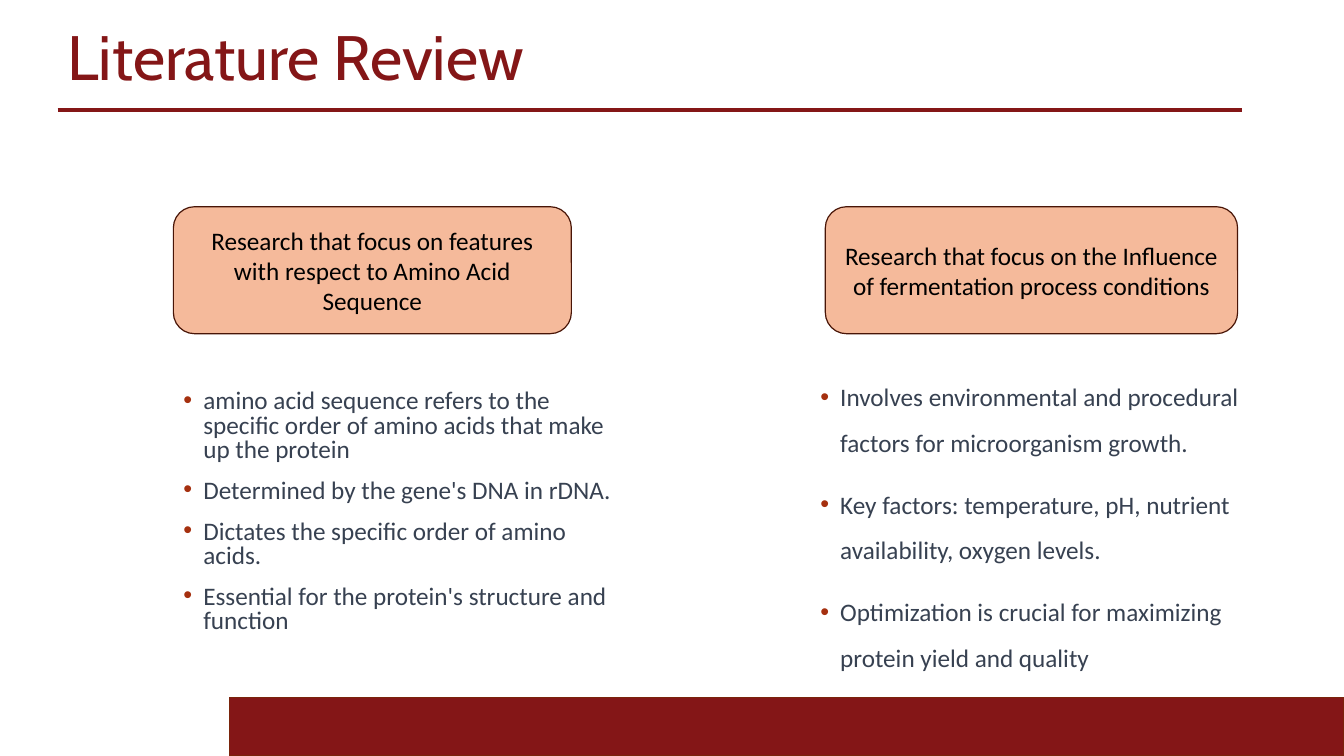
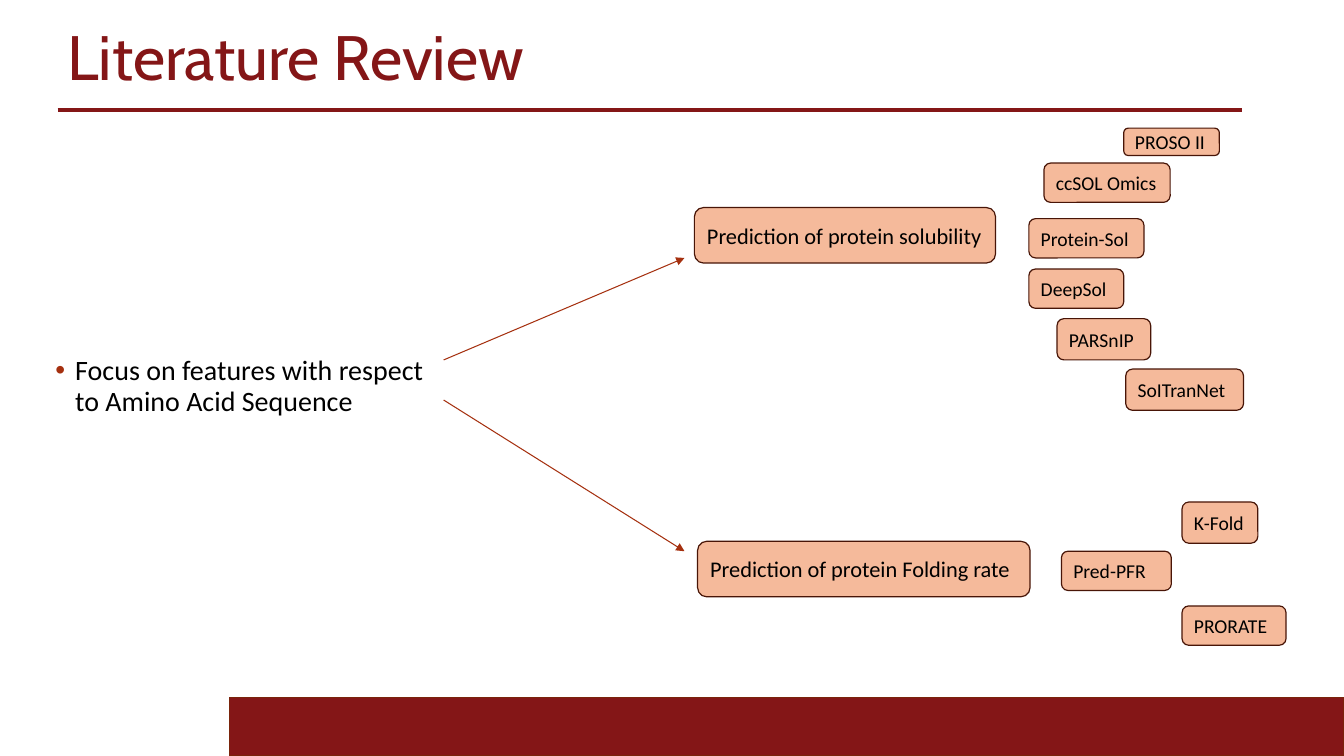
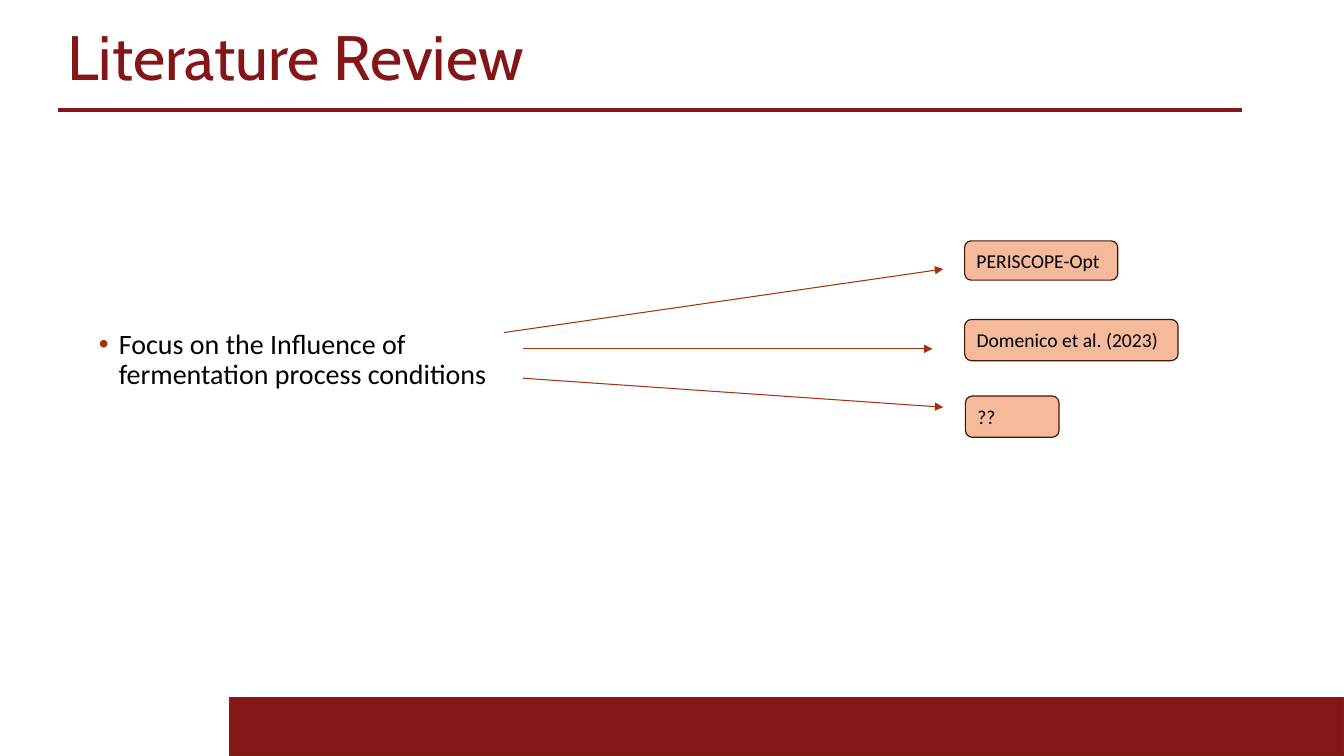
from lxml.etree import SubElement
from pptx import Presentation
from pptx.dml.color import RGBColor
from pptx.enum.shapes import MSO_CONNECTOR as Connector, MSO_SHAPE as Preset
from pptx.enum.text import MSO_ANCHOR as Anchor, MSO_AUTO_SIZE as AutoSize, PP_ALIGN as Align
from pptx.oxml.ns import qn
from pptx.util import Cm, Pt

COLOURS = {
    "crimson": "841617",
    "band_edge": "7A240B",
    "rust": "A5300F",
    "peach": "F5BA9B",
    "box_edge": "481507",
    "slate": "374151",
    "black": "000000",
}
TITLE_FONT, TEXT_FONT = "Cabin", "Calibri"
TITLE_AREA = (1.45, 0.74, 29.74, 1.8)
TITLE_AND_LIST, TITLE_AND_TWO_LISTS = 1, 3


def colour(name):
    return RGBColor.from_string(COLOURS[name])


def set_all(target, **values):
    for name, value in values.items():
        setattr(target, name, value)


def place(shape, area):
    left, top, width, height = map(Cm, area)
    set_all(shape, left=left, top=top, width=width, height=height)


def format_line(line, name, width):
    line.color.rgb = colour(name)
    line.width = Pt(width)


def write_para(para, text, font, size, ink, **layout):
    span = para.add_run()
    span.text = text
    set_all(span.font, name=font, size=Pt(size))
    span.font.color.rgb = colour(ink)
    set_all(para, **layout)


def add_bullet(para):
    props = para._p.get_or_add_pPr()
    props.set("marL", str(Cm(0.5)))
    props.set("indent", str(-Cm(0.5)))
    SubElement(SubElement(props, qn("a:buClr")), qn("a:srgbClr"), val=COLOURS["rust"])
    SubElement(props, qn("a:buFont"), typeface="Arial")
    SubElement(props, qn("a:buChar"), char="•")


def add_block(shapes, preset, area, fill, edge):
    block = shapes.add_shape(preset, *map(Cm, area))
    block.shadow.inherit = False
    block.fill.solid()
    block.fill.fore_color.rgb = colour(fill)
    format_line(block.line, edge, 0.85)
    return block


def add_line(shapes, start, end, name, width):
    line = shapes.add_connector(Connector.STRAIGHT, *map(Cm, start + end))
    format_line(line.line, name, width)
    SubElement(line.element.spPr, qn("a:effectLst"))
    return line


def add_arrow(slide, start, end):
    arrow = add_line(slide.shapes, start, end, "rust", 0.75)
    SubElement(arrow.line._get_or_add_ln(), qn("a:tailEnd"), type="triangle")


def add_box(slide, text, area, size=14, align=Align.LEFT):
    box = add_block(slide.shapes, Preset.ROUNDED_RECTANGLE, area, "peach", "box_edge")
    set_all(box.text_frame, word_wrap=True, vertical_anchor=Anchor.MIDDLE)
    write_para(box.text_frame.paragraphs[0], text, TEXT_FONT, size, "black", alignment=align)


def fill_list(slide, index, area, items, size, ink, spacing):
    body = slide.placeholders[index]
    place(body, area)
    frame = body.text_frame
    set_all(frame, word_wrap=True, auto_size=AutoSize.NONE, vertical_anchor=Anchor.MIDDLE)
    for number, item in enumerate(items):
        para = frame.add_paragraph() if number else frame.paragraphs[0]
        write_para(para, item, TEXT_FONT, size, ink, line_spacing=spacing,
                   space_before=Pt(12), space_after=Pt(0), alignment=Align.LEFT)
        add_bullet(para)


def add_page(deck, layout):
    page = deck.slides.add_slide(deck.slide_layouts[layout])
    title = page.shapes.title
    place(title, TITLE_AREA)
    set_all(title.text_frame, word_wrap=True, auto_size=AutoSize.NONE,
            vertical_anchor=Anchor.MIDDLE)
    write_para(title.text_frame.paragraphs[0], "Literature Review", TITLE_FONT, 44.8, "crimson",
               line_spacing=0.7, space_before=Pt(12), alignment=Align.LEFT)
    return page


def decorate_master(deck, page):
    """Draw the bottom band and title rule, then move them to the master."""
    band = add_block(page.shapes, Preset.RECTANGLE, (5.79, 17.58, 28.08, 1.47),
                     "crimson", "band_edge")
    rule = add_line(page.shapes, (1.45, 2.77), (31.29, 2.77), "crimson", 2.5)
    tree = deck.slide_master.shapes.element
    for position, shape in enumerate((band, rule), start=2):
        tree.insert(position, shape.element)


def build_overview(page):
    # Two research directions
    for text, left, width in (
        ("Research that focus on features with respect to Amino Acid Sequence", 4.37, 10.03),
        ("Research that focus on the Influence of fermentation process conditions", 20.8, 10.39),
    ):
        add_box(page, text, (left, 5.21, width, 3.2), 18, Align.CENTER)

    # Their main points
    fill_list(page, 1, (4.37, 9.7, 11.51, 6.43), (
        "amino acid sequence refers to the specific order of amino acids that make up the protein",
        "Determined by the gene's DNA in rDNA.",
        "Dictates the specific order of amino acids.",
        "Essential for the protein's structure and function",
    ), 18, "slate", 0.8)
    fill_list(page, 2, (20.42, 8.97, 11.13, 8.23), (
        "Involves environmental and procedural factors for microorganism growth.",
        "Key factors: temperature, pH, nutrient availability, oxygen levels.",
        "Optimization is crucial for maximizing protein yield and quality",
    ), 18, "slate", 1.5)


def build_sequence_tools(page):
    fill_list(page, 1, (1.14, 8.43, 10.03, 2.64),
              ("Focus on features with respect to Amino Acid Sequence",), 20, "black", 0.9)

    # Prediction tasks
    add_box(page, "Prediction of protein solubility", (17.5, 5.23, 7.59, 1.4), 16)
    add_box(page, "Prediction of protein Folding rate", (17.58, 13.64, 8.38, 1.4), 16)
    add_arrow(page, (11.18, 9.07), (17.25, 6.5))
    add_arrow(page, (11.18, 10.08), (17.25, 13.89))

    # Tools for each task
    for text, *area in (
        ("PROSO II", 28.32, 3.23, 2.41, 0.69),
        ("ccSOL Omics", 26.31, 4.11, 3.18, 0.99),
        ("Protein-Sol", 25.93, 5.51, 2.9, 0.99),
        ("DeepSol", 25.93, 6.78, 2.39, 0.99),
        ("PARSnIP", 26.64, 8.03, 2.36, 1.04),
        ("SoITranNet", 28.37, 9.3, 2.97, 1.04),
        ("K-Fold", 29.79, 12.65, 1.91, 1.04),
        ("Pred-PFR", 26.75, 13.89, 2.77, 0.99),
        ("PRORATE", 29.79, 15.27, 2.62, 0.99),
    ):
        add_box(page, text, area)


def build_process_tools(page):
    fill_list(page, 1, (2.24, 7.57, 11.2, 3.02),
              ("Focus on the Influence of fermentation process conditions",), 20, "black", 0.9)

    # Each study with the arrow that leads to it
    for text, area, start, end in (
        ("PERISCOPE-Opt", (24.31, 6.07, 3.86, 0.99), (12.7, 8.38), (23.77, 6.78)),
        ("Domenico et al. (2023)", (24.31, 8.05, 5.38, 1.04), (13.18, 8.79), (23.5, 8.79)),
        ("??", (24.33, 9.98, 2.36, 1.04), (13.18, 9.53), (23.77, 10.26)),
    ):
        add_box(page, text, area)
        add_arrow(page, start, end)


def main():
    deck = Presentation()
    set_all(deck, slide_width=Cm(33.87), slide_height=Cm(19.05))
    overview = add_page(deck, TITLE_AND_TWO_LISTS)
    decorate_master(deck, overview)
    build_overview(overview)
    build_sequence_tools(add_page(deck, TITLE_AND_LIST))
    build_process_tools(add_page(deck, TITLE_AND_LIST))
    deck.save("out.pptx")


if __name__ == "__main__":
    main()
